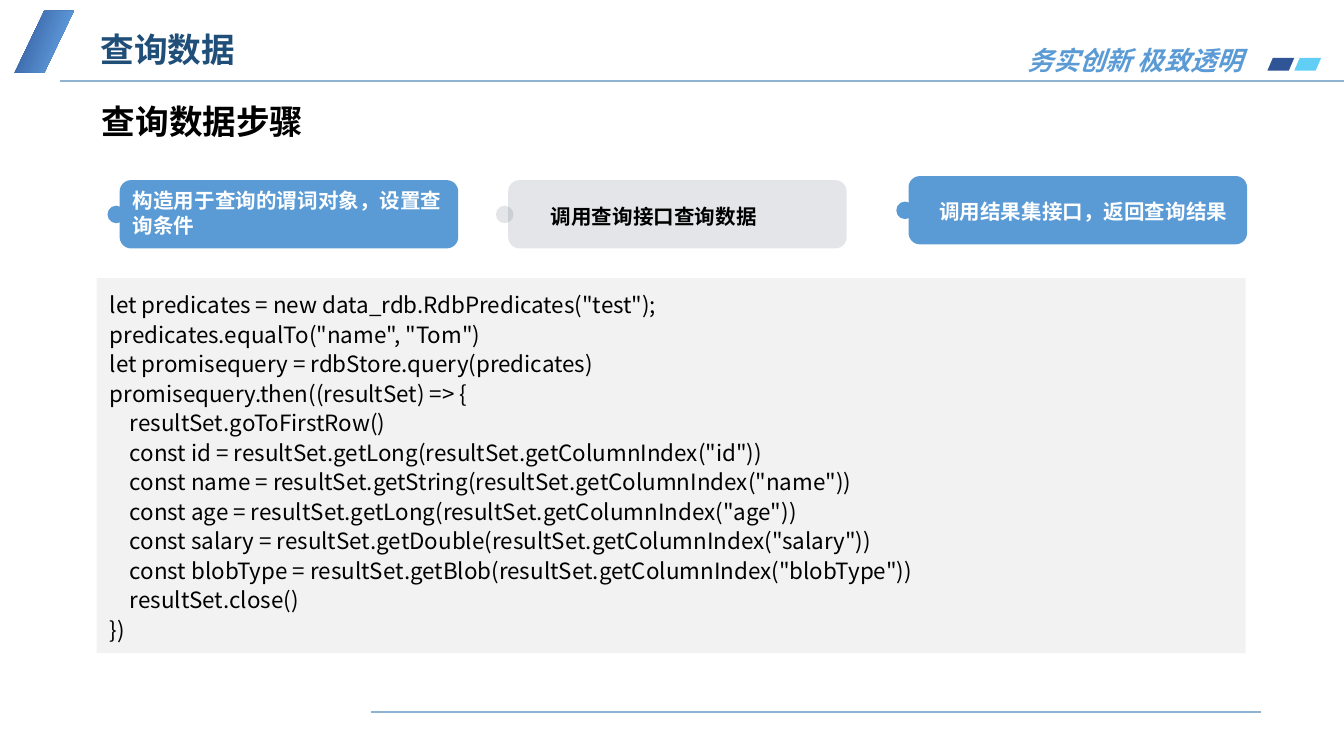
from typing import NamedTuple

from lxml import etree
from pptx import Presentation
from pptx.dml.color import RGBColor
from pptx.enum import shapes, text
from pptx.oxml import ns
from pptx.util import Pt

COLORS = {
    "white": "FFFFFF", "black": "000000", "blue": "5B9BD5", "slate": "44546A",
    "navy": "2F5597", "cyan": "00B0F0", "sky": "6CAFEF", "rule": "8EB3D3",
    "title": "1F4E79", "panel": "F2F2F2",
}
SANS = "Noto Sans CJK SC"
SHAPE = shapes.MSO_SHAPE
ANCHOR = text.MSO_ANCHOR
INDENT = 10.7
CODE = '''let predicates = new data_rdb.RdbPredicates("test");
predicates.equalTo("name", "Tom")
let promisequery = rdbStore.query(predicates)
promisequery.then((resultSet) => {
\tresultSet.goToFirstRow()
\tconst id = resultSet.getLong(resultSet.getColumnIndex("id"))
\tconst name = resultSet.getString(resultSet.getColumnIndex("name"))
\tconst age = resultSet.getLong(resultSet.getColumnIndex("age"))
\tconst salary = resultSet.getDouble(resultSet.getColumnIndex("salary"))
\tconst blobType = resultSet.getBlob(resultSet.getColumnIndex("blobType"))
\tresultSet.close()
})'''


class Box(NamedTuple):
    left: float
    top: float
    width: float
    height: float


class Step(NamedTuple):
    label: str
    left: float
    top: float
    label_box: Box
    fill: str = "blue"
    color: str = "white"
    alpha: int = 100


STEPS = [
    Step("构造用于查询的谓词对象，设置查询条件", 64.1, 96.5, Box(64.1, 97.2, 181.4, 33.8)),
    Step("调用查询接口查询数据", 272.2, 96.5, Box(288, 105.8, 133.2, 21.6),
         "slate", "black", 15),
    Step("调用结果集接口，返回查询结果", 486.7, 94.3, Box(496.1, 103, 177.8, 21.6)),
]


def rgb(name: str) -> RGBColor:
    return RGBColor.from_string(COLORS[name])


def add_shape(s, kind, box: Box, fill: str, alpha: int = 100):
    sp = s.shapes.add_shape(kind, *map(Pt, box))
    sp.shadow.inherit = False
    sp.line.fill.background()
    sp.fill.solid()
    sp.fill.fore_color.rgb = rgb(fill)
    if alpha < 100:
        clr = sp.fill._xPr.find(".//" + ns.qn("a:srgbClr"))
        etree.SubElement(clr, ns.qn("a:alpha"), val=str(alpha * 1000))
    return sp


def add_rule(s, left: float, right: float, y: float) -> None:
    sp = s.shapes.add_connector(shapes.MSO_CONNECTOR.STRAIGHT, Pt(left), Pt(y), Pt(right), Pt(y))
    sp.line.color.rgb = rgb("rule")
    sp.line.width = Pt(1)
    etree.SubElement(sp._element.spPr, ns.qn("a:effectLst"))


def write(sp, content: str, *, size: float, color: str, font: str = "Arial", bold: bool = True,
          italic: bool = False, align=text.PP_ALIGN.LEFT, anchor=ANCHOR.TOP,
          spacing: float = 1.0, wrap: bool = True) -> None:
    tf = sp.text_frame
    tf.word_wrap = wrap
    tf.vertical_anchor = anchor
    for i, line in enumerate(content.split("\n")):
        p = tf.add_paragraph() if i else tf.paragraphs[0]
        p.alignment = align
        p.line_spacing = spacing
        if line.startswith("\t"):
            p._p.get_or_add_pPr().set("marL", str(Pt(INDENT)))
        r = p.add_run()
        r.text = line.strip()
        f = r.font
        f.name, f.size, f.bold, f.italic = font, Pt(size), bold, italic
        f.color.rgb = rgb(color)
        etree.SubElement(r._r.get_or_add_rPr(), ns.qn("a:ea"), typeface=font)


def add_text(s, box: Box, content: str, **style) -> None:
    write(s.shapes.add_textbox(*map(Pt, box)), content, **style)


def add_step(s, step: Step) -> None:
    knob = Box(step.left - 6.5, step.top + 13.7, 9.4, 9.4)
    add_shape(s, SHAPE.OVAL, knob, step.fill, step.alpha)
    card = Box(step.left, step.top, 181.4, 36.6)
    add_shape(s, SHAPE.ROUNDED_RECTANGLE, card, step.fill, step.alpha)
    add_text(s, step.label_box, step.label, size=11, color=step.color)


def add_frame(s) -> None:
    add_rule(s, 32.4, 720, 43.2)
    add_rule(s, 198.7, 675.4, 381.6)
    for left, fill, alpha in ((679, "navy", 100), (693.4, "cyan", 62)):
        sp = add_shape(s, SHAPE.PARALLELOGRAM, Box(left, 31, 14.4, 6.8), fill, alpha)
        sp.adjustments[0] = 0.43
    sp = add_shape(s, SHAPE.PARALLELOGRAM, Box(7.9, 5.8, 31.7, 33.1), "navy")
    sp.adjustments[0] = 0.5
    sp.fill.gradient()
    sp.fill.gradient_angle = 340
    for stop, color, position in zip(sp.fill.gradient_stops, ("navy", "sky"), (0, 1)):
        stop.color.rgb = rgb(color)
        stop.position = position
    add_text(s, Box(542.2, 20.2, 131.8, 24.5), "务实创新 极致透明", size=14, color="blue",
             font=SANS, italic=True, align=text.PP_ALIGN.CENTER, wrap=False)


def main() -> None:
    """Build the slide on querying data and save it."""
    prs = Presentation()
    prs.slide_width, prs.slide_height = Pt(720), Pt(405)
    s = prs.slides.add_slide(prs.slide_layouts[6])
    add_frame(s)
    add_text(s, Box(46.8, 13, 252.7, 28.8), "查询数据", size=18, color="title", font=SANS,
             anchor=ANCHOR.MIDDLE, spacing=0.9)
    add_text(s, Box(47.5, 45.4, 320.4, 33.8), "查询数据步骤", size=18, color="black",
             anchor=ANCHOR.BOTTOM)
    panel = add_shape(s, SHAPE.RECTANGLE, Box(51.8, 149, 615.6, 200.9), "panel")
    write(panel, CODE, size=12, color="black", font=SANS, bold=False, anchor=ANCHOR.MIDDLE,
          spacing=1.1)
    for step in STEPS:
        add_step(s, step)
    prs.save("out.pptx")


if __name__ == "__main__":
    main()
